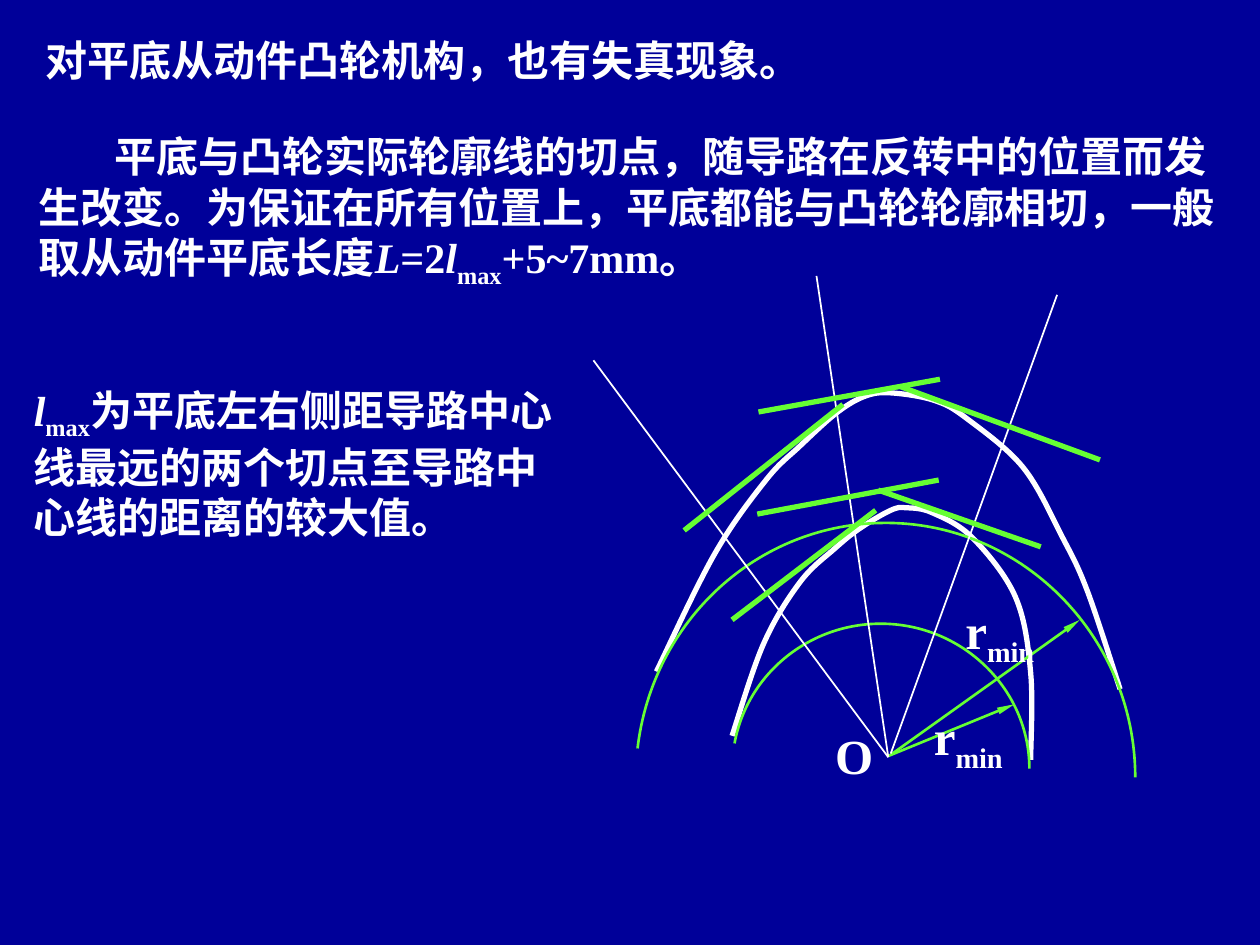
import pptx
import pptx.dml.color
import pptx.enum.shapes
import pptx.enum.text
import pptx.oxml.ns
import pptx.util
from lxml import etree
from pptx.util import Inches, Pt

COLORS = {"ground": "000099", "white": "FFFFFF", "green": "66FF33"}
LATIN, CHINESE = "Times New Roman", "Noto Sans CJK SC"

# Text: runs are (text, style), style being "", "italic" or "sub"
HEADING = [("对平底从动件凸轮机构，也有失真现象。", "")]
LENGTH_RULE = [
    ("平底与凸轮实际轮廓线的切点，随导路在反转中的位置而发生改变。"
     "为保证在所有位置上，平底都能与凸轮轮廓相切，一般取从动件平底长度", ""),
    ("L", "italic"), ("=2", ""), ("l", "italic"), ("max", "sub"), ("+5~7mm。", ""),
]
LMAX_MEANING = [
    ("l", "italic"), ("max", "sub"),
    ("为平底左右侧距导路中心线最远的两个切点至导路中心线的距离的较大值。", ""),
]
R_MIN = [("r", ""), ("min", "sub")]
# runs, (left, top, width, height), first-line indent
PASSAGES = [
    (LENGTH_RULE, (0.21, 0.99, 9.79, 1.36), 0.6),
    (LMAX_MEANING, (0.17, 3, 4.35, 1.36), 0),
]
LABELS = [
    ([("O", "")], (6.53, 5.71, 0.5, 0.57)),
    (R_MIN, (7.31, 5.56, 0.75, 0.63)),
    (R_MIN, (7.56, 4.72, 0.75, 0.63)),
]

# Drawing, in inches: knots that the cam profiles pass through
CAM_PROFILES = [
    [(5.81, 5.84), (6.06, 5.11), (6.35, 4.62), (6.63, 4.35), (6.83, 4.19),
     (7.07, 4.05), (7.19, 4.03), (7.4, 4.07), (7.72, 4.27), (8.06, 4.74),
     (8.18, 5.34), (8.18, 6.03)],
    [(5.21, 5.33), (5.67, 4.4), (6.08, 3.81), (6.35, 3.54), (6.65, 3.27),
     (6.88, 3.14), (7.09, 3.12), (7.42, 3.18), (7.67, 3.32), (8.12, 3.71),
     (8.43, 4.26), (8.63, 4.69), (8.89, 5.47)],
]
# Bezier points: start, then two handles and an end for each piece
BASE_CIRCLES = [
    [(5.83, 5.9), (5.93, 5.35), (6.42, 4.95), (6.99, 4.95),
     (7.64, 4.95), (8.17, 5.47), (8.17, 6.1)],
    [(5.06, 5.94), (5.18, 4.92), (6.02, 4.15), (7.03, 4.15),
     (8.12, 4.15), (9.01, 5.06), (9.01, 6.17)],
]
RADII = [((7.05, 6), (8.05, 5.59)), ((7.07, 5.99), (8.57, 4.92))]
GUIDES = [((7.07, 5.98), (8.39, 2.34)), ((7.05, 6.01), (6.48, 2.19)),
          ((7.05, 6.01), (4.71, 2.86))]
FLAT_FACES = [
    ((5.43, 4.21), (6.69, 3.21)), ((6.02, 3.27), (7.46, 3.01)),
    ((7.15, 3.07), (8.73, 3.65)), ((6.97, 3.89), (8.26, 4.34)),
    ((5.81, 4.92), (6.95, 4.05)), ((6.01, 4.08), (7.45, 3.81)),
]


def rgb(name):
    return pptx.dml.color.RGBColor.from_string(COLORS[name])


def place(shape, box):
    shape.left, shape.top, shape.width, shape.height = map(Inches, box)


def write(shape, runs, size, centred=False, middle=True, wrap=True, indent=0):
    frame = shape.text_frame
    frame.auto_size = pptx.enum.text.MSO_AUTO_SIZE.NONE
    frame.word_wrap = wrap
    anchor = pptx.enum.text.MSO_ANCHOR
    frame.vertical_anchor = anchor.MIDDLE if middle else anchor.TOP
    paragraph = frame.paragraphs[0]
    align = pptx.enum.text.PP_ALIGN
    paragraph.alignment = align.CENTER if centred else align.LEFT
    if indent:
        properties = paragraph._p.get_or_add_pPr()
        properties.set("marL", "0")
        properties.set("indent", str(Inches(indent)))
    font = paragraph.font
    font.name, font.size, font.bold = LATIN, Pt(size), True
    font.color.rgb = rgb("white")
    etree.SubElement(font._element, pptx.oxml.ns.qn("a:ea"), typeface=CHINESE)
    for text, style in runs:
        run = paragraph.add_run()
        run.text = text
        if style == "italic":
            run.font.italic = True
        elif style == "sub":
            run.font._element.set("baseline", "-25000")


def line(slide, ends, color, width, arrow=False):
    start, end = ends
    connector = slide.shapes.add_connector(
        pptx.enum.shapes.MSO_CONNECTOR.STRAIGHT, *map(Inches, start + end))
    connector.line.color.rgb = rgb(color)
    connector.line.width = Pt(width)
    if arrow:
        etree.SubElement(connector.line._get_or_add_ln(),
                         pptx.oxml.ns.qn("a:tailEnd"),
                         type="triangle", w="sm", len="lg")
    etree.SubElement(connector._element.spPr, pptx.oxml.ns.qn("a:effectLst"))


def curve(slide, points, color, width):
    points = [(Inches(x), Inches(y)) for x, y in points]
    builder = slide.shapes.build_freeform(*points[0], scale=1.0)
    builder.add_line_segments(points[1:], close=False)
    outline = builder.convert_to_shape()
    # Turn each three straight segments into one Bezier piece
    segments = list(outline._element.iter(pptx.oxml.ns.qn("a:lnTo")))
    for first in range(0, len(segments), 3):
        piece = etree.Element(pptx.oxml.ns.qn("a:cubicBezTo"))
        segments[first].addprevious(piece)
        for segment in segments[first:first + 3]:
            piece.append(segment[0])
            segment.getparent().remove(segment)
    outline.shadow.inherit = False
    outline.fill.background()
    outline.line.color.rgb = rgb(color)
    outline.line.width = Pt(width)


def smooth(knots):
    """Bezier points of the Catmull-Rom spline through the knots."""
    padded = [knots[0]] + knots + [knots[-1]]
    points = [knots[0]]
    for a, b, c, d in zip(padded, padded[1:], padded[2:], padded[3:]):
        points += [
            tuple(q + (r - p) / 6 for p, q, r in zip(a, b, c)),
            tuple(r - (s - q) / 6 for q, r, s in zip(b, c, d)),
            c,
        ]
    return points


def main():
    deck = pptx.Presentation()
    deck.slide_width, deck.slide_height = Inches(10), Inches(7.5)
    slide = deck.slides.add_slide(deck.slide_layouts[5])
    slide.background.fill.solid()
    slide.background.fill.fore_color.rgb = rgb("ground")

    # Heading
    heading = slide.shapes.title
    place(heading, (0.26, 0.22, 7, 0.5))
    write(heading, HEADING, 24)

    # Cam profiles, base circles and their radii
    for knots in CAM_PROFILES:
        curve(slide, smooth(knots), "white", 3)
    for points in BASE_CIRCLES:
        curve(slide, points, "green", 1.5)
    for ends in RADII:
        line(slide, ends, "green", 1.5, arrow=True)

    # Guide centre lines and flat follower faces
    for ends in GUIDES:
        line(slide, ends, "white", 1)
    for ends in FLAT_FACES:
        line(slide, ends, "green", 3)

    # Labels and passages
    for runs, box in LABELS:
        write(slide.shapes.add_textbox(*map(Inches, box)), runs, 28,
              centred=True, wrap=False)
    for runs, box, indent in PASSAGES:
        write(slide.shapes.add_textbox(*map(Inches, box)), runs, 24,
              middle=False, indent=indent)

    deck.save("out.pptx")


if __name__ == "__main__":
    main()
